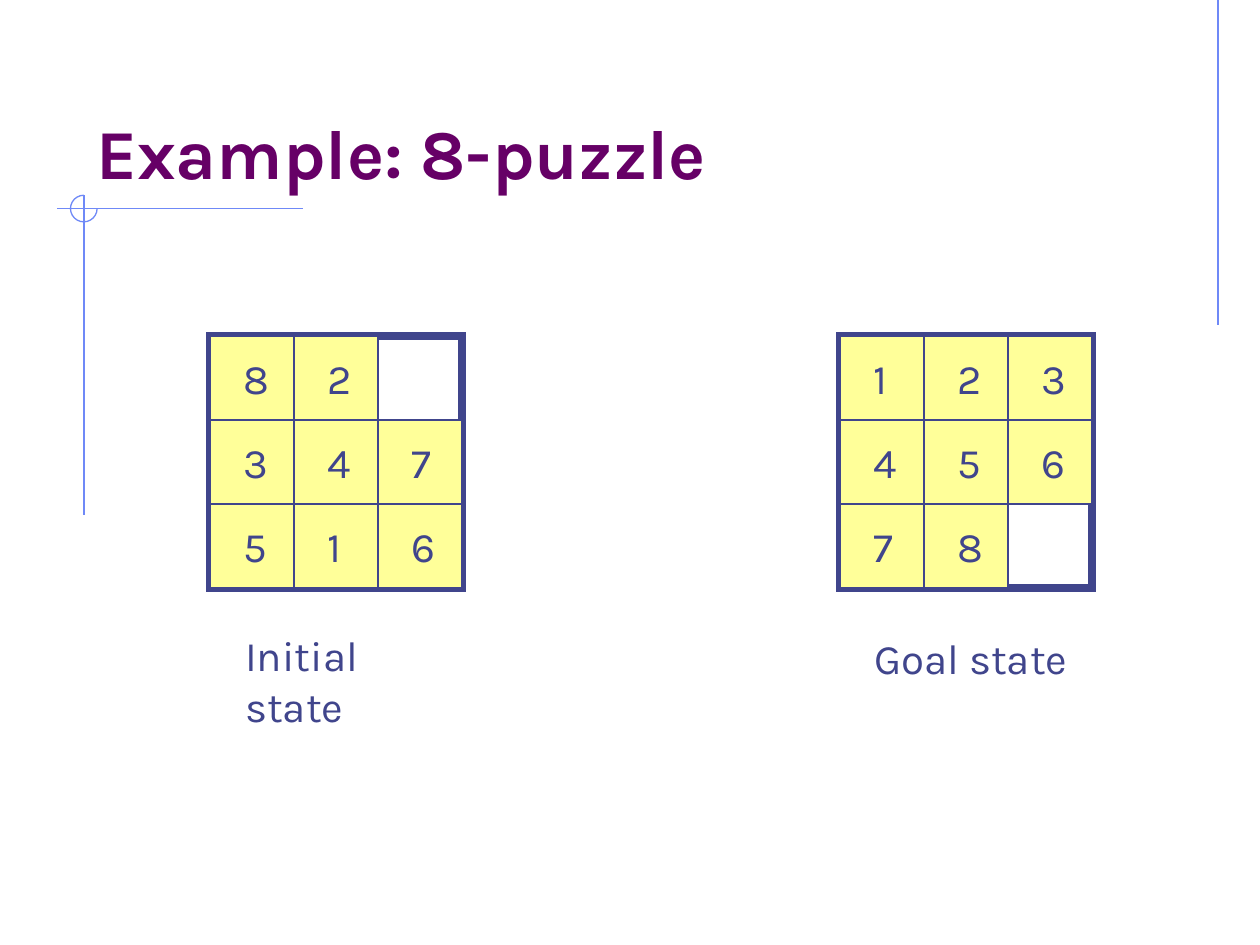
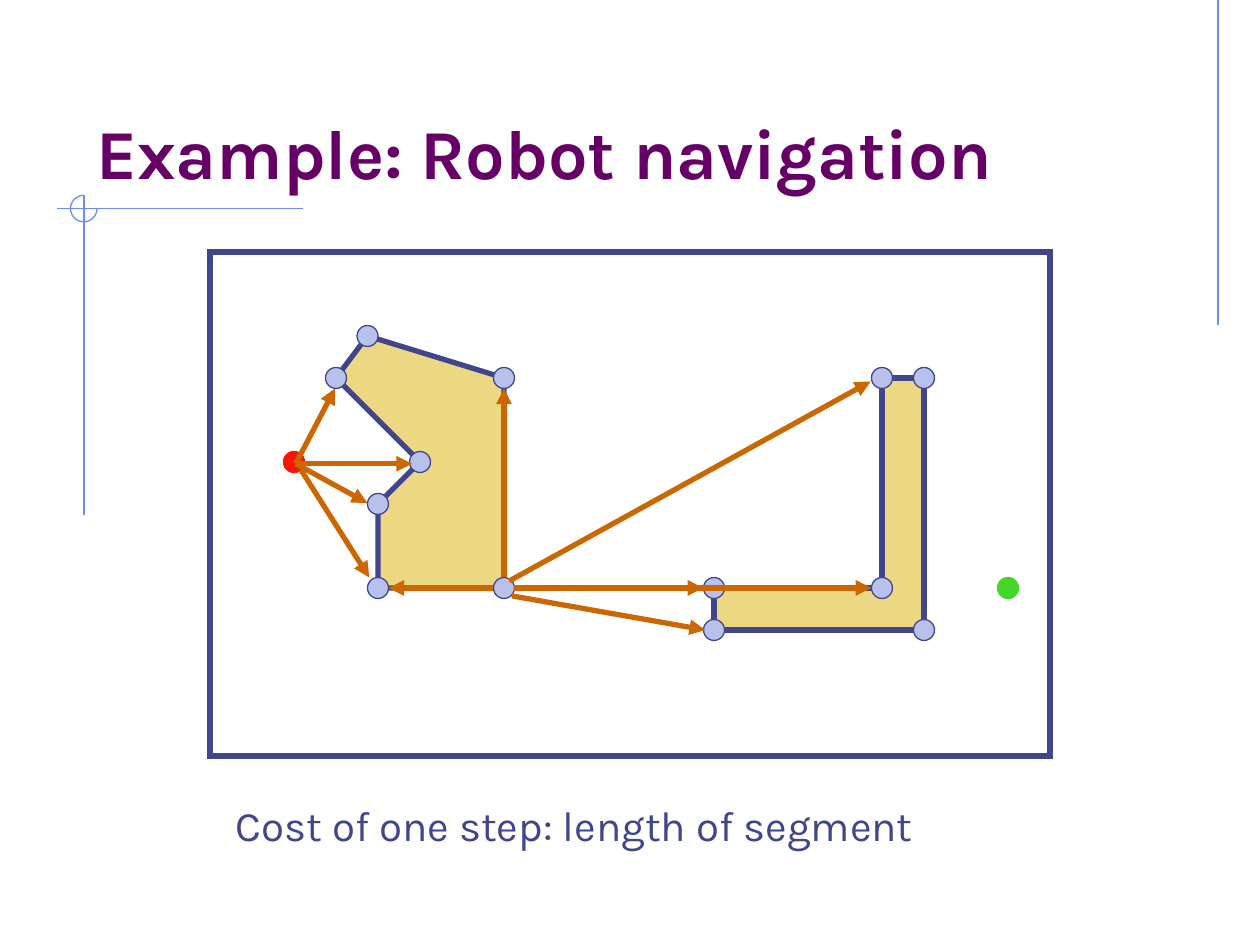
from dataclasses import dataclass

from lxml.etree import SubElement
from pptx import Presentation
from pptx.dml.color import RGBColor
from pptx.enum.shapes import MSO_CONNECTOR, MSO_SHAPE
from pptx.enum.text import MSO_ANCHOR
from pptx.oxml.ns import qn
from pptx.util import Pt

PUZZLES = [
    {"left": 120, "rows": ["82 ", "347", "516"],
     "caption": "Initial state", "caption_box": (133, 356.4, 136, 36)},
    {"left": 480, "rows": ["123", "456", "78 "],
     "caption": "Goal state", "caption_box": (492.5, 357.8, 128, 36)},
]
PUZZLE_TOP = 192
TILE = 48

ROOM = (120, 144, 480, 288)
OBSTACLES = [
    [(192, 216), (240, 264), (216, 288), (216, 336), (288, 336), (288, 216), (210, 192)],
    [(408, 336), (408, 360), (528, 360), (528, 216), (504, 216), (504, 336)],
]
ROBOT_START = (168, 264)
ROBOT_GOAL = (576, 336)
NODE_SIZE = 12
MOVES = [
    ((294, 336), (402, 336)),
    ((291, 332), (497.5, 218)),
    ((292.5, 340.5), (403, 360)),
    ((282, 336), (222, 336)),
    ((288, 330), (288, 222)),
    ((294, 336), (498, 336)),
    ((169, 265), (210, 287.5)),
    ((169, 265), (235.5, 265)),
    ((169, 265), (191.5, 222)),
    ((172, 268.5), (211, 330)),
]
COST_NOTE = "Cost of one step: length of segment"

GUIDE_LINES = [
    ((696, 0), (696, 186)),
    ((173, 119.3), (32.5, 119.3)),
    ((48, 111.5), (48, 294.5)),
]
GUIDE_ARC = (40.3, 111.6, 15.2, 15.2)
TITLE_BOX = (48, 24, 612, 90)


@dataclass(frozen=True)
class Theme:
    font: str = "Karla"
    title_size: float = 40
    body_size: float = 24
    title: str = "660066"
    ink: str = "40458C"
    guide: str = "6F89F7"
    tile: str = "FFFF99"
    obstacle: str = "ECD882"
    node: str = "B7C1EB"
    start: str = "F81706"
    goal: str = "45D628"
    move: str = "CC6600"
    thin: float = 0.75
    thick: float = 3
    frame: float = 4.5


THEME = Theme()


def points(values):
    return [Pt(value) for value in values]


def style_shape(shape, fill, line, width):
    shape.shadow.inherit = False
    if fill:
        shape.fill.solid()
        shape.fill.fore_color.rgb = RGBColor.from_string(fill)
    else:
        shape.fill.background()
    shape.line.color.rgb = RGBColor.from_string(line)
    shape.line.width = Pt(width)
    outline = shape._element.spPr.find(qn("a:ln"))
    SubElement(outline, qn("a:miter"), lim="800000")


def add_preset(slide, kind, box, fill, line, width=THEME.thin):
    shape = slide.shapes.add_shape(kind, *points(box))
    style_shape(shape, fill, line, width)
    return shape


def add_line(slide, start, end, color, width, arrow=False):
    connector = slide.shapes.add_connector(MSO_CONNECTOR.STRAIGHT, *points(start + end))
    connector.line.color.rgb = RGBColor.from_string(color)
    connector.line.width = Pt(width)
    properties = connector._element.spPr
    if arrow:
        SubElement(properties.find(qn("a:ln")), qn("a:tailEnd"), type="triangle")
    SubElement(properties, qn("a:effectLst"))


def write_text(shape, text, size=THEME.body_size, color=THEME.ink, bold=False,
               anchor=MSO_ANCHOR.TOP, left=7.2, top=3.6):
    frame = shape.text_frame
    frame.word_wrap = True
    frame.vertical_anchor = anchor
    frame.margin_left, frame.margin_top = points((left, top))
    paragraph = frame.paragraphs[0]
    paragraph.text = text
    paragraph.alignment = 1
    paragraph.font.name = THEME.font
    paragraph.font.size = Pt(size)
    paragraph.font.bold = bold
    paragraph.font.color.rgb = RGBColor.from_string(color)


def add_text(slide, box, text, **style):
    write_text(slide.shapes.add_textbox(*points(box)), text, **style)


def add_titled_slide(presentation, title):
    slide = presentation.slides.add_slide(presentation.slide_layouts[6])
    for start, end in GUIDE_LINES:
        add_line(slide, start, end, THEME.guide, THEME.thin)
    arc = add_preset(slide, MSO_SHAPE.ARC, GUIDE_ARC, None, THEME.guide)
    arc.adjustments[0] = 0
    arc.adjustments[1] = 162
    add_text(slide, TITLE_BOX, title, size=THEME.title_size, color=THEME.title,
             bold=True, anchor=MSO_ANCHOR.BOTTOM)
    return slide


def add_puzzle(slide, puzzle):
    left, rows = puzzle["left"], puzzle["rows"]
    side = TILE * len(rows)
    add_preset(slide, MSO_SHAPE.RECTANGLE, (left, PUZZLE_TOP, side, side),
               None, THEME.ink, THEME.frame)
    for row, digits in enumerate(rows):
        for column, digit in enumerate(digits):
            if digit != " ":
                box = (left + column * TILE, PUZZLE_TOP + row * TILE, TILE, TILE)
                tile = add_preset(slide, MSO_SHAPE.RECTANGLE, box, THEME.tile, THEME.ink)
                write_text(tile, digit, left=19.2, top=9.6)
    add_text(slide, puzzle["caption_box"], puzzle["caption"])


def add_obstacle(slide, corners):
    first, *others = [points(corner) for corner in corners]
    builder = slide.shapes.build_freeform(*first)
    builder.add_line_segments(others, close=True)
    style_shape(builder.convert_to_shape(), THEME.obstacle, THEME.ink, THEME.thick)


def add_node(slide, center, fill, line):
    x, y = center
    box = (x - NODE_SIZE / 2, y - NODE_SIZE / 2, NODE_SIZE, NODE_SIZE)
    add_preset(slide, MSO_SHAPE.OVAL, box, fill, line)


def build_puzzle_slide(presentation):
    slide = add_titled_slide(presentation, "Example: 8-puzzle")
    for puzzle in PUZZLES:
        add_puzzle(slide, puzzle)


def build_robot_slide(presentation):
    slide = add_titled_slide(presentation, "Example: Robot navigation")
    add_preset(slide, MSO_SHAPE.RECTANGLE, ROOM, None, THEME.ink, THEME.thick)
    for corners in OBSTACLES:
        add_obstacle(slide, corners)
    add_node(slide, ROBOT_START, THEME.start, THEME.start)
    add_node(slide, ROBOT_GOAL, THEME.goal, THEME.goal)
    for corners in OBSTACLES:
        for corner in corners:
            add_node(slide, corner, THEME.node, THEME.ink)
    for start, end in MOVES:
        add_line(slide, start, end, THEME.move, THEME.thick, arrow=True)
    add_text(slide, (127.5, 453.6, 417, 36), COST_NOTE)


def main():
    presentation = Presentation()
    presentation.slide_width, presentation.slide_height = points((720, 540))
    build_puzzle_slide(presentation)
    build_robot_slide(presentation)
    presentation.save("out.pptx")


if __name__ == "__main__":
    main()
